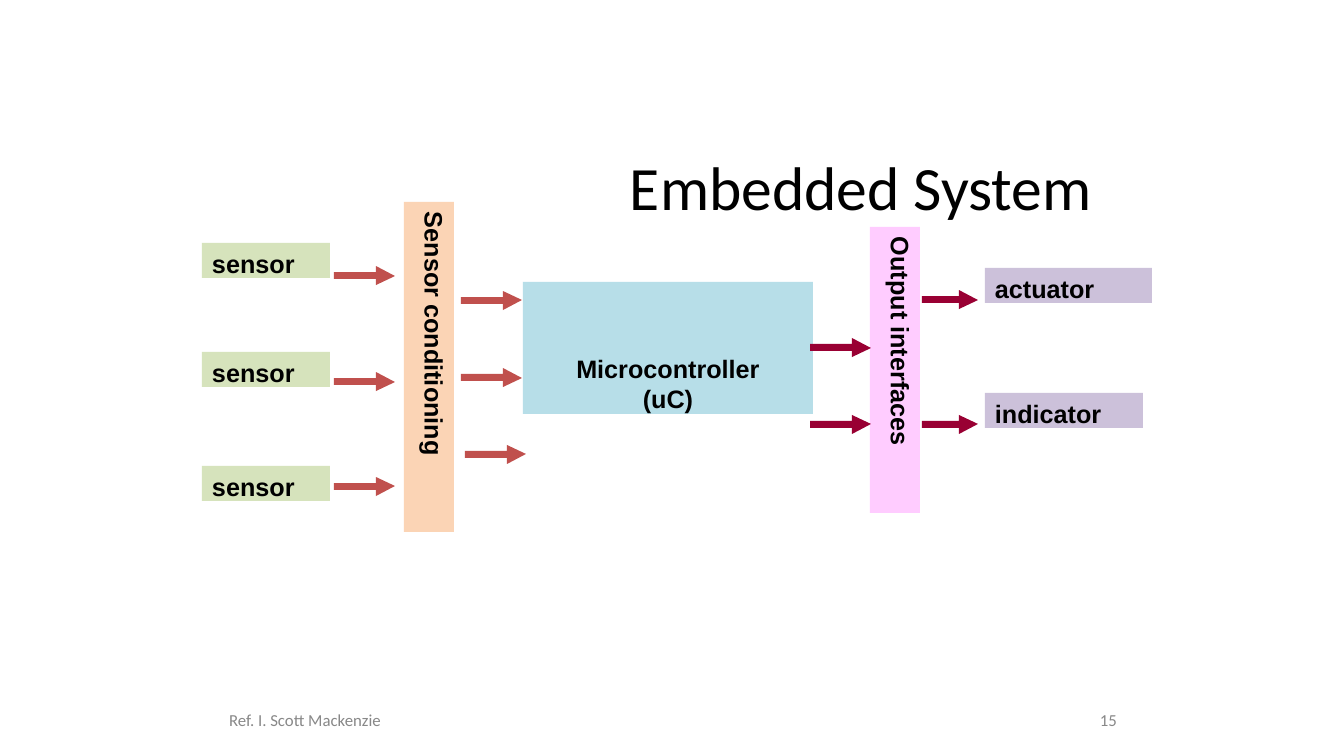
import dataclasses

import pptx
import pptx.dml.color
import pptx.enum.shapes
import pptx.enum.text
import pptx.util

PIXEL = 914400 / 100.8


@dataclasses.dataclass(frozen=True)
class Theme:
    heading_font: str = "Calibri"
    label_font: str = "Arial"
    title_size: int = 44
    label_size: int = 18
    footer_size: int = 12
    ink: str = "000000"
    muted: str = "888888"
    sensor: str = "D6E3BC"
    conditioning: str = "FBD4B5"
    controller: str = "B7DEE8"
    interface: str = "FFCCFF"
    output: str = "CCC1DA"
    input_arrow: str = "C0504D"
    output_arrow: str = "990033"


THEME = Theme()
ANCHOR = pptx.enum.text.MSO_ANCHOR
ALIGN = pptx.enum.text.PP_ALIGN


def emu(pixels):
    return pptx.util.Emu(round(pixels * PIXEL))


def paint(shape, color):
    shape.shadow.inherit = False
    shape.fill.solid()
    shape.fill.fore_color.rgb = pptx.dml.color.RGBColor.from_string(color)
    shape.line.fill.background()


def add_box(page, box, color):
    shape = page.shapes.add_shape(
        pptx.enum.shapes.MSO_SHAPE.RECTANGLE, *map(emu, box))
    paint(shape, color)
    return shape


def write(shape, lines, font=THEME.label_font, size=THEME.label_size,
          color=THEME.ink, bold=True, left=0, top=0,
          anchor=ANCHOR.TOP, align=ALIGN.LEFT):
    frame = shape.text_frame
    frame.word_wrap = True
    frame.vertical_anchor = anchor
    frame.margin_left, frame.margin_top = emu(left), emu(top)
    frame.margin_right = frame.margin_bottom = 0
    para = frame.paragraphs[0]
    para.alignment = align
    for index, line in enumerate(lines):
        if index:
            para.add_line_break()
        span = para.add_run()
        span.text = line
        span.font.name = font
        span.font.size = pptx.util.Pt(size)
        span.font.bold = bold
        span.font.color.rgb = pptx.dml.color.RGBColor.from_string(color)


def add_text(page, box, text, **style):
    shape = page.shapes.add_textbox(*map(emu, box))
    write(shape, [text], **style)
    return shape


def add_label(page, box, text, color):
    write(add_box(page, box, color), [text], left=10, top=5)


def add_arrow(page, box, color):
    left, top, width, height = box
    right, neck = left + width, left + width - 19
    upper, lower = top + 6, top + height - 6
    builder = page.shapes.build_freeform(left, upper, scale=PIXEL)
    builder.add_line_segments([
        (neck, upper), (neck, top), (right, (upper + lower) / 2),
        (neck, top + height), (neck, lower), (left, lower)])
    paint(builder.convert_to_shape(), color)


def add_bar(page, box, text, color):
    left, top, width, height = box
    add_box(page, box, color)
    label = add_text(page, (left + 16, top + 10, 30, height - 10), text)
    label.text_frame._txBody.bodyPr.set("vert", "vert")


def add_sensors(page, box):
    left, top, width, height = box
    for label_top, arrow_top in ((0, 23), (109, 129), (223, 234)):
        add_label(page, (left, top + label_top, 128, 35), "sensor", THEME.sensor)
        add_arrow(page, (left + width - 61, top + arrow_top, 61, 19),
                  THEME.input_arrow)


def add_controller(page, box):
    left, top, width, height = box
    shape = add_box(page, box, THEME.controller)
    write(shape, ["Microcontroller", "(uC)"],
          anchor=ANCHOR.BOTTOM, align=ALIGN.CENTER)
    for row, shift in enumerate((0, 0, 4)):
        add_arrow(page, (left - 62 + shift, top + 9 + 77 * row, 61, 19),
                  THEME.input_arrow)
    for row in range(2):
        add_arrow(page, (left + width - 3, top + 56 + 77 * row, 61, 19),
                  THEME.output_arrow)


def add_outputs(page, box):
    left, top, width, height = box
    for row, (text, label_width) in enumerate((("actuator", 167), ("indicator", 158))):
        row_top = top + 125 * row
        add_arrow(page, (left, row_top + 22, 56, 19), THEME.output_arrow)
        add_label(page, (left + width - 167, row_top, label_width, 35),
                  text, THEME.output)


def add_footer(page, box):
    left, top, width, height = box
    style = dict(font=THEME.heading_font, size=THEME.footer_size,
                 color=THEME.muted, bold=False, left=3, top=3)
    add_text(page, (left, top, 158, height), "Ref. I. Scott Mackenzie", **style)
    add_text(page, (left + width - 22, top, 22, height), "15", **style)


def add_diagram_slide(deck):
    page = deck.slides.add_slide(deck.slide_layouts[6])
    add_text(page, (619, 146, 700, 77), "Embedded System",
             font=THEME.heading_font, size=THEME.title_size, bold=False,
             left=11, top=3, anchor=ANCHOR.MIDDLE)
    add_bar(page, (404, 202, 50, 330), "Sensor conditioning", THEME.conditioning)
    add_bar(page, (870, 227, 50, 286), "Output interfaces", THEME.interface)
    add_sensors(page, (202, 243, 193, 258))
    add_controller(page, (523, 282, 290, 132))
    add_outputs(page, (922, 268, 230, 160))
    add_footer(page, (226, 707, 893, 23))


deck = pptx.Presentation()
deck.slide_width, deck.slide_height = emu(1344), emu(756)
add_diagram_slide(deck)
deck.save("out.pptx")
